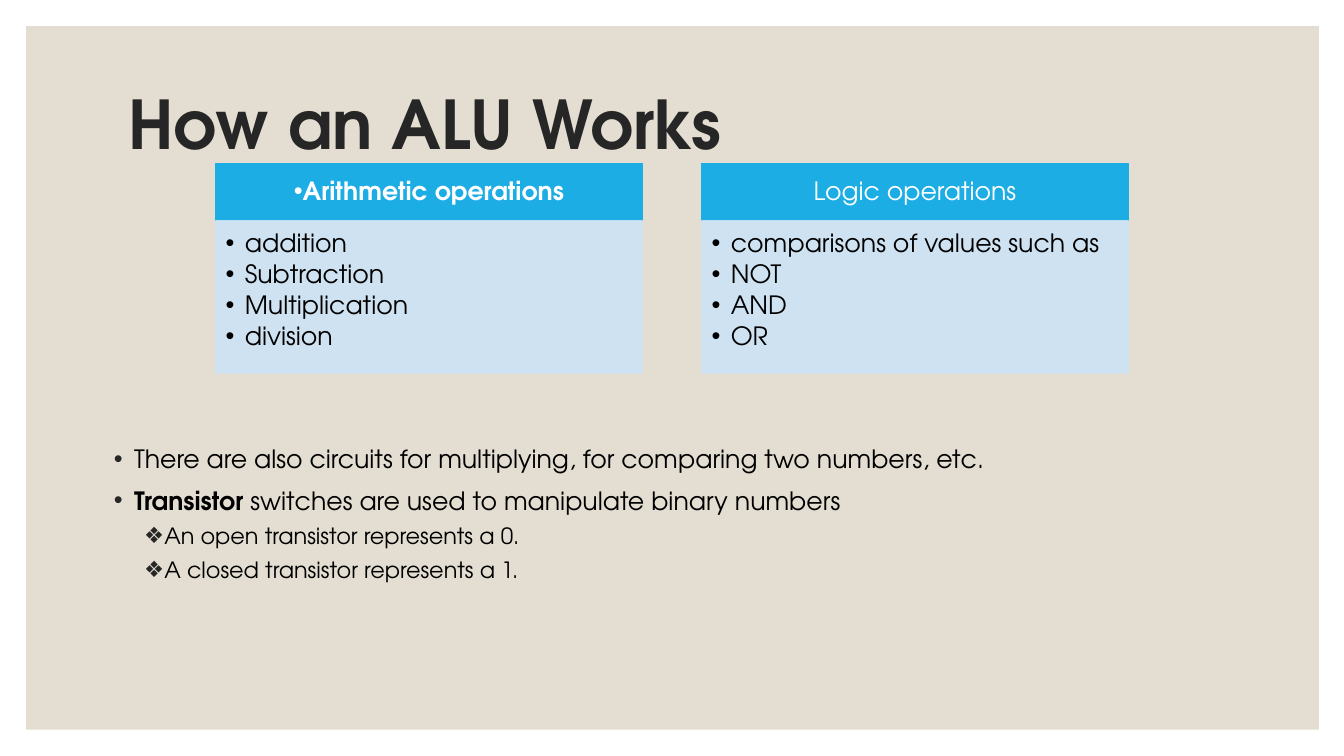
import dataclasses

import lxml.etree
import pptx
import pptx.dml.color
import pptx.enum.shapes
import pptx.enum.text
import pptx.oxml.ns
import pptx.util

PX = 9144  # EMU per px, 100 px to the inch


@dataclasses.dataclass(frozen=True)
class Theme:
    font: str = "TeX Gyre Adventor"
    panel: str = "E3DED1"
    title: str = "262626"
    text: str = "000000"
    header: str = "1CADE4"
    header_text: str = "FFFFFF"
    card: str = "CDE3F5"
    title_size: int = 48
    body_size: int = 18
    sub_size: int = 16


THEME = Theme()
ANCHOR = pptx.enum.text.MSO_ANCHOR
ALIGN = pptx.enum.text.PP_ALIGN

CARD_TOP, CARD_WIDTH, HEADER_HEIGHT, LIST_HEIGHT = 162, 423, 57, 151
CARD_LEFT, CARD_STEP = 214, 482
OPERATIONS = [
    ("Arithmetic operations", True,
     ["addition", "Subtraction", "Multiplication", "division"]),
    ("Logic operations", False,
     ["comparisons of values such as", "NOT", "AND", "OR"]),
]
# Each point: level, runs of (text, bold)
POINTS = [
    (0, [("There are also circuits for multiplying, for comparing two numbers, etc.", False)]),
    (0, [("Transistor", True),
         ("\u00a0switches are used to manipulate binary numbers", False)]),
    (1, [("An open transistor represents a 0.", False)]),
    (1, [("A closed transistor represents a 1.", False)]),
]


def rgb(color):
    return pptx.dml.color.RGBColor.from_string(color)


def place(sp, left, top, width, height):
    sp.left, sp.top, sp.width, sp.height = (v * PX for v in (left, top, width, height))


def format_run(r, size, color, bold=False):
    r.font.name = THEME.font
    r.font.size = pptx.util.Pt(size)
    r.font.bold = bold
    r.font.color.rgb = rgb(color)


def set_bullet(p, char=None, color=None, margin=0, hanging=0):
    """Set the paragraph's bullet, or none, with its indents in px."""
    pPr = p._p.get_or_add_pPr()
    pPr.set("marL", str(margin * PX))
    pPr.set("indent", str(-hanging * PX))
    qn = pptx.oxml.ns.qn
    if char is None:
        lxml.etree.SubElement(pPr, qn("a:buNone"))
        return
    clr = lxml.etree.SubElement(pPr, qn("a:buClr"))
    lxml.etree.SubElement(clr, qn("a:srgbClr"), val=color)
    lxml.etree.SubElement(pPr, qn("a:buFont"), typeface="Arial")
    lxml.etree.SubElement(pPr, qn("a:buChar"), char=char)


def set_alpha(fill, percent):
    clr = fill._xPr.find(".//" + pptx.oxml.ns.qn("a:srgbClr"))
    lxml.etree.SubElement(clr, pptx.oxml.ns.qn("a:alpha"), val=str(percent * 1000))


def add_box(slide, box, color, outlined=True, alpha=100):
    sp = slide.shapes.add_shape(pptx.enum.shapes.MSO_SHAPE.RECTANGLE,
                                *(v * PX for v in box))
    sp.shadow.inherit = False
    fills = [sp.fill]
    if outlined:
        sp.line.width = pptx.util.Pt(1)
        fills.append(sp.line.fill)
    else:
        sp.line.fill.background()
    for fill in fills:
        fill.solid()
        fill.fore_color.rgb = rgb(color)
        if alpha < 100:
            set_alpha(fill, alpha)
    return sp


def set_insets(tf, left, top, right, bottom):
    tf.margin_left, tf.margin_top, tf.margin_right, tf.margin_bottom = (
        v * PX for v in (left, top, right, bottom))


def add_card(slide, left, heading, emphasised, items):
    """Add a heading bar over a bulleted list; emphasis means bold and bulleted."""
    sp = add_box(slide, (left, CARD_TOP, CARD_WIDTH, HEADER_HEIGHT), THEME.header)
    tf = sp.text_frame
    tf.word_wrap = True
    tf.vertical_anchor = ANCHOR.MIDDLE
    set_insets(tf, 14, 8, 14, 8)
    tf.text = heading
    p = tf.paragraphs[0]
    set_bullet(p, "•" if emphasised else None, THEME.header_text)
    p.alignment = ALIGN.CENTER
    p.line_spacing = 0.9
    format_run(p.runs[0], THEME.body_size, THEME.header_text, emphasised)

    sp = add_box(slide, (left, CARD_TOP + HEADER_HEIGHT, CARD_WIDTH, LIST_HEIGHT),
                 THEME.card, alpha=90)
    tf = sp.text_frame
    tf.word_wrap = True
    tf.vertical_anchor = ANCHOR.TOP
    set_insets(tf, 10, 10, 14, 16)
    tf.text = "\n".join(items)
    for p in tf.paragraphs:
        set_bullet(p, "•", THEME.text, 19, 19)
        p.alignment = ALIGN.LEFT
        p.line_spacing = 0.9
        p.space_after = pptx.util.Pt(2.7)
        format_run(p.runs[0], THEME.body_size, THEME.text)


def fill_title(sp, text):
    place(sp, 117, 52, 1100, 150)
    tf = sp.text_frame
    tf.auto_size = pptx.enum.text.MSO_AUTO_SIZE.NONE
    tf.vertical_anchor = ANCHOR.MIDDLE
    tf.text = text
    p = tf.paragraphs[0]
    p.alignment = ALIGN.LEFT
    p.line_spacing = 0.9
    format_run(p.runs[0], THEME.title_size, THEME.title, True)


def fill_points(sp, points):
    place(sp, 103, 435, 1127, 263)
    tf = sp.text_frame
    tf.auto_size = pptx.enum.text.MSO_AUTO_SIZE.NONE
    styles = [("•", 20, THEME.body_size, 8), ("❖", 50, THEME.sub_size, 5)]
    for i, (level, runs) in enumerate(points):
        char, margin, size, before = styles[level]
        p = tf.add_paragraph() if i else tf.paragraphs[0]
        p.level = level
        set_bullet(p, char, THEME.title, margin, 20)
        p.space_before = pptx.util.Pt(before if i else 0)
        for text, bold in runs:
            r = p.add_run()
            r.text = text
            format_run(r, size, THEME.text, bold)


def main():
    prs = pptx.Presentation()
    prs.slide_width, prs.slide_height = 1333 * PX, 750 * PX
    slide = prs.slides.add_slide(prs.slide_layouts[1])
    panel = add_box(slide, (26, 26, 1282, 698), THEME.panel, outlined=False)
    slide.shapes.title.element.addprevious(panel.element)
    fill_title(slide.shapes.title, "How an ALU Works")
    fill_points(slide.placeholders[1], POINTS)
    for i, (heading, emphasised, items) in enumerate(OPERATIONS):
        add_card(slide, CARD_LEFT + i * CARD_STEP, heading, emphasised, items)
    prs.save("out.pptx")


if __name__ == "__main__":
    main()
